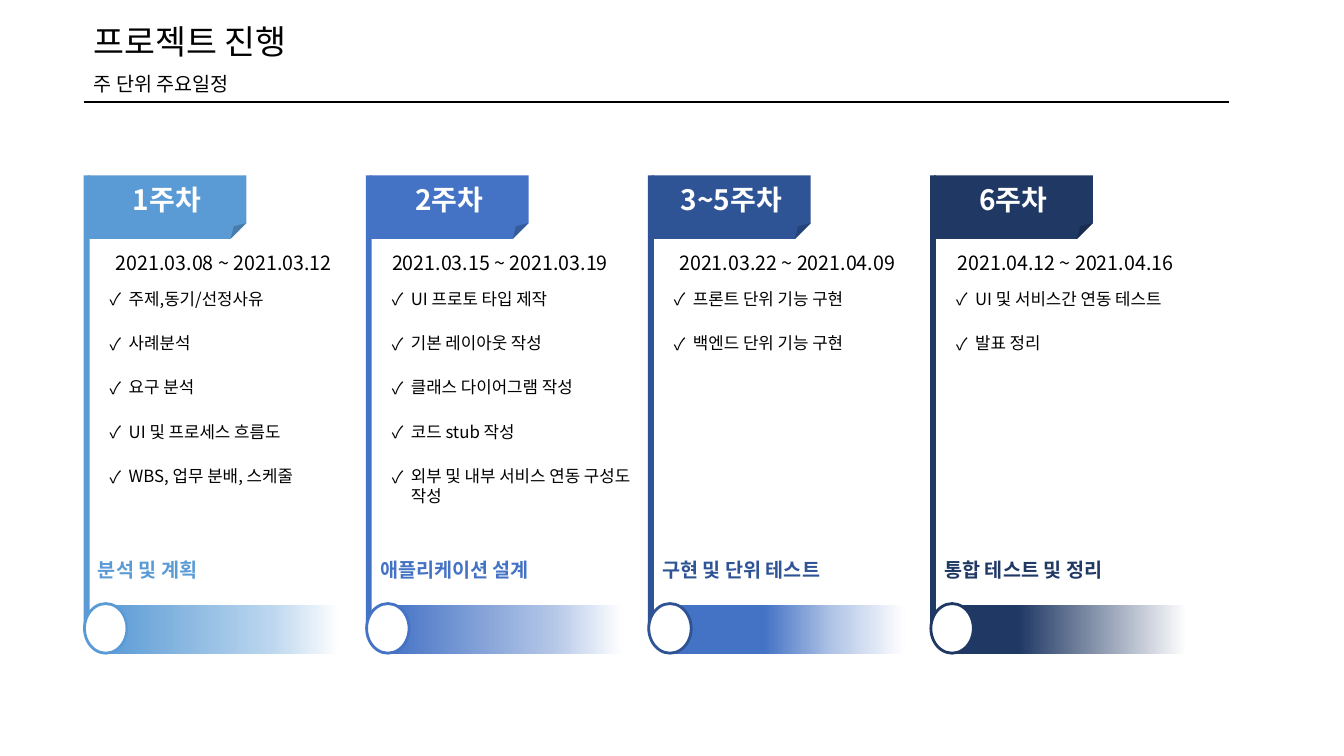
"""Build a slide with the weekly schedule of a project in four columns."""
from lxml.etree import SubElement
from pptx import Presentation
from pptx.dml.color import RGBColor
from pptx.enum.shapes import MSO_CONNECTOR, MSO_SHAPE
from pptx.enum.text import MSO_ANCHOR, MSO_AUTO_SIZE, PP_ALIGN
from pptx.oxml.ns import qn
from pptx.util import Cm, Pt

FONT = "Noto Sans CJK KR"
BLACK = RGBColor(0x00, 0x00, 0x00)
WHITE = RGBColor(0xFF, 0xFF, 0xFF)
SKY = RGBColor(0x5B, 0x9B, 0xD5)
PALE_SKY = RGBColor(0xBB, 0xD6, 0xEE)
BLUE = RGBColor(0x44, 0x72, 0xC4)
PALE_BLUE = RGBColor(0xB3, 0xC6, 0xE7)
DEEP_BLUE = RGBColor(0x2F, 0x54, 0x96)
NAVY = RGBColor(0x1F, 0x38, 0x64)

WEEKS = [
    ("1주차", "2021.03.08 ~ 2021.03.12", 2.67, "분석 및 계획", SKY,
     [(0, SKY), (70, PALE_SKY), (100, WHITE)],
     ["주제,동기/선정사유", "사례분석", "요구 분석", "UI 및 프로세스 흐름도", "WBS, 업무 분배, 스케줄"]),
    ("2주차", "2021.03.15 ~ 2021.03.19", 9.63, "애플리케이션 설계", BLUE,
     [(0, BLUE), (70, PALE_BLUE), (100, WHITE)],
     ["UI 프로토 타입 제작", "기본 레이아웃 작성", "클래스 다이어그램 작성", "코드 stub 작성",
      "외부 및 내부 서비스 연동 구성도 작성"]),
    ("3~5주차", "2021.03.22 ~ 2021.04.09", 16.87, "구현 및 단위 테스트", DEEP_BLUE,
     [(0, BLUE), (40, BLUE), (70, PALE_BLUE), (100, WHITE)],
     ["프론트 단위 기능 구현", "백엔드 단위 기능 구현"]),
    ("6주차", "2021.04.12 ~ 2021.04.16", 23.88, "통합 테스트 및 정리", NAVY,
     [(0, NAVY), (28, NAVY), (100, WHITE)],
     ["UI 및 서비스간 연동 테스트", "발표 정리"]),
]


def write(holder, lines, size, color, bold=False, align=PP_ALIGN.LEFT, anchor=MSO_ANCHOR.TOP):
    """Fill a shape with formatted lines of text."""
    frame = holder.text_frame
    frame.text = "\n".join(lines)
    frame.word_wrap = True
    frame.auto_size = MSO_AUTO_SIZE.NONE
    frame.vertical_anchor = anchor
    for paragraph in frame.paragraphs:
        paragraph.alignment = align
        paragraph.space_before = Pt(0)
        for run in paragraph.runs:
            run.font.name = FONT
            run.font.size = Pt(size)
            run.font.bold = bold
            run.font.color.rgb = color
            SubElement(run.font._element, qn("a:ea"), typeface=FONT)


def add_block(kind, left, top, width, height, color):
    """Add a borderless shape with a plain fill."""
    block = slide.shapes.add_shape(kind, Cm(left), Cm(top), Cm(width), Cm(height))
    block.shadow.inherit = False
    block.fill.solid()
    block.fill.fore_color.rgb = color
    block.line.fill.background()
    return block


presentation = Presentation()
presentation.slide_width = Cm(33.87)
presentation.slide_height = Cm(19.05)
slide = presentation.slides.add_slide(presentation.slide_layouts[4])
title, *task_lists = slide.placeholders

title.left, title.top, title.width, title.height = Cm(2.11), Cm(0.41), Cm(10.08), Cm(1.27)
write(title, ["프로젝트 진행"], 24, BLACK)
subtitle = slide.shapes.add_textbox(Cm(2.11), Cm(1.68), Cm(10.08), Cm(0.86))
write(subtitle, ["주 단위 주요일정"], 14, BLACK)

rule = slide.shapes.add_connector(MSO_CONNECTOR.STRAIGHT, Cm(2.11), Cm(2.57), Cm(30.96), Cm(2.57))
rule.line.color.rgb = BLACK
rule.line.width = Pt(1.5)
SubElement(rule._element.spPr, qn("a:effectLst"))

for index, (week, dates, dates_left, phase, color, stops, tasks) in enumerate(WEEKS):
    left = 2.11 + index * 7.11

    add_block(MSO_SHAPE.RECTANGLE, left, 4.42, 0.15, 11.48, color)
    flag = add_block(MSO_SHAPE.FOLDED_CORNER, left + 0.1, 4.42, 4, 1.6, color)
    fold = flag._element.spPr.find(qn("a:prstGeom")).find(qn("a:avLst"))
    SubElement(fold, qn("a:gd"), name="adj", fmla="val 24800")
    write(flag, [week], 20, WHITE, True, PP_ALIGN.CENTER, MSO_ANCHOR.MIDDLE)

    scroll = add_block(MSO_SHAPE.RECTANGLE, left + 0.55, 15.24, 5.92, 1.25, color)
    scroll.fill.gradient()
    scroll.fill.gradient_angle = 0
    stop_list = scroll._element.spPr.find(qn("a:gradFill")).find(qn("a:gsLst"))
    stop_list.clear()
    for position, stop_color in stops:
        stop = SubElement(stop_list, qn("a:gs"), pos=str(position * 1000))
        SubElement(stop, qn("a:srgbClr"), val=str(stop_color))
    scroll_end = add_block(MSO_SHAPE.OVAL, left + 0.02, 15.21, 1.07, 1.25, WHITE)
    scroll_end.line.color.rgb = color
    scroll_end.line.width = Pt(2)

    dates_label = slide.shapes.add_textbox(Cm(dates_left), Cm(6.2), Cm(6.71), Cm(0.86))
    write(dates_label, [dates], 14, BLACK)
    phase_label = slide.shapes.add_textbox(Cm(left + 0.11), Cm(13.92), Cm(6.6), Cm(0.86))
    write(phase_label, [phase], 14, color, True, anchor=MSO_ANCHOR.MIDDLE)

    task_list = task_lists[index]
    task_list.left, task_list.top = Cm(left + 0.4), Cm(7.14)
    task_list.width, task_list.height = Cm(6.91), Cm(6)
    write(task_list, tasks, 12, BLACK)
    for number, paragraph in enumerate(task_list.text_frame.paragraphs):
        paragraph.line_spacing = Pt(14.4)
        paragraph.space_before = Pt(17.3 if number else 0)
        properties = paragraph._p.get_or_add_pPr()
        properties.set("marL", str(Cm(0.48)))
        properties.set("indent", str(Cm(-0.48)))
        bullet_color = SubElement(properties, qn("a:buClr"))
        SubElement(bullet_color, qn("a:srgbClr"), val=str(BLACK))
        SubElement(properties, qn("a:buFont"), typeface=FONT)
        SubElement(properties, qn("a:buChar"), char="✓")

presentation.save("out.pptx")
